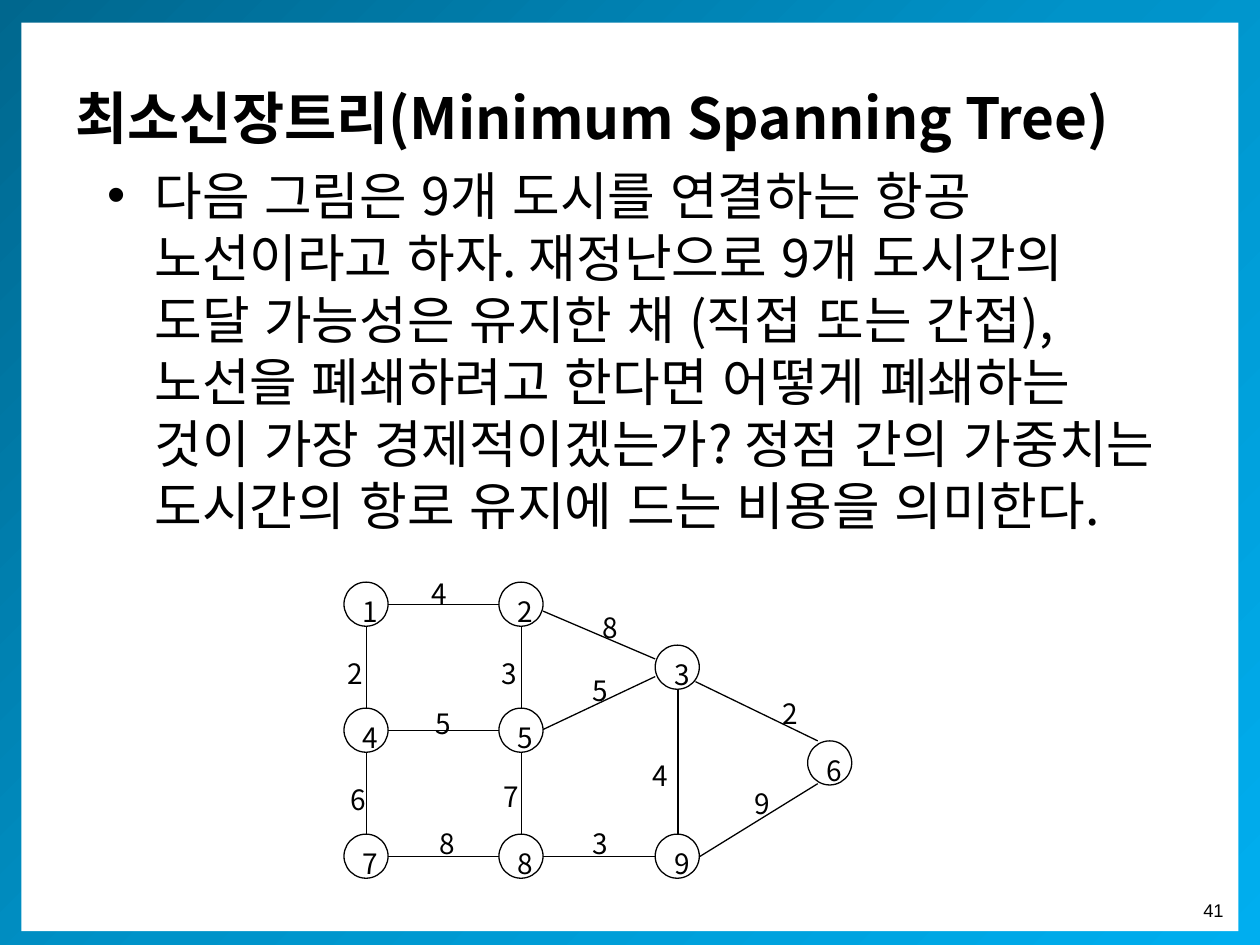
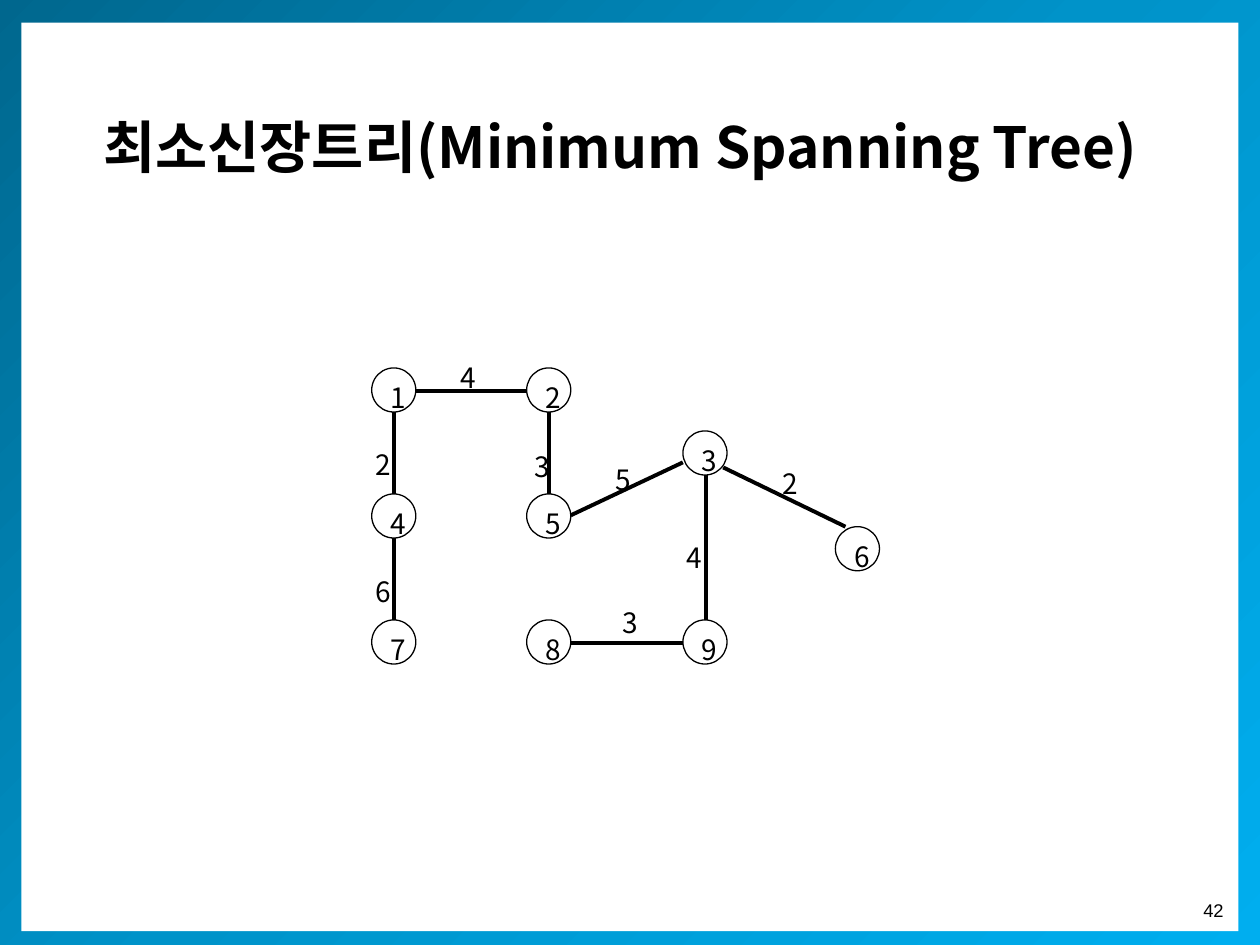
"""Build two slides on minimum spanning trees: the route network and its tree."""
from copy import deepcopy

from lxml import etree
from pptx import Presentation
from pptx.dml.color import RGBColor
from pptx.enum import shapes, text
from pptx.oxml.ns import qn
from pptx.util import Inches, Pt

BLACK = RGBColor(0x00, 0x00, 0x00)
WHITE = RGBColor(0xFF, 0xFF, 0xFF)
FRAME_BLUES = [(0, RGBColor(0x00, 0x67, 0x8E)),
               (0.5, RGBColor(0x00, 0x93, 0xC9)),
               (1, RGBColor(0x00, 0xAE, 0xEF))]
KOREAN_FONT = "Noto Sans CJK KR"
NUMBER_FONT = "Arial"

TITLE = "최소신장트리(Minimum Spanning Tree)"
QUESTION = ("다음 그림은 9개 도시를 연결하는 항공 노선이라고 하자. 재정난으로 9개 도시간의 "
            "도달 가능성은 유지한 채 (직접 또는 간접), 노선을 폐쇄하려고 한다면 어떻게 "
            "폐쇄하는 것이 가장 경제적이겠는가? 정점 간의 가중치는 도시간의 항로 유지에 "
            "드는 비용을 의미한다.")
WORD_GAP = "160"

CITIES = {1: (2.73, 4.62), 2: (3.96, 4.62), 3: (5.2, 5.12),
          4: (2.73, 5.62), 5: (3.96, 5.62), 6: (6.41, 5.88),
          7: (2.73, 6.62), 8: (3.96, 6.62), 9: (5.2, 6.62)}
COSTS = {(1, 2): 4, (1, 4): 2, (2, 5): 3, (2, 3): 8, (4, 5): 5, (5, 3): 5, (3, 6): 2,
         (3, 9): 4, (9, 6): 9, (4, 7): 6, (5, 8): 7, (7, 8): 8, (8, 9): 3}
CITY_SIZE, CITY_MIDDLE = 0.35, 0.18
COST_SIZE = (0.29, 0.32)
SLANTED_ENDS = {(2, 3): ((0.35, 0.23), (0, 0.11)),
                (5, 3): ((0.35, 0.17), (0, 0.25)),
                (3, 6): ((0.32, 0.29), (0.08, 0)),
                (9, 6): ((0.35, 0.18), (0.08, 0.34))}

SLIDES = [
    {"number": 41, "layout": 1, "title_at": (0.5, 0.3), "question": QUESTION,
     "shift": (0, 0), "route_width": 0.75,
     "cost_at": {(1, 2): (3.33, 4.53), (1, 4): (2.66, 5.16), (2, 5): (3.88, 5.16),
                 (2, 3): (4.68, 4.8), (4, 5): (3.36, 5.56), (5, 3): (4.6, 5.3),
                 (3, 6): (6.11, 5.48), (3, 9): (5.08, 5.97), (9, 6): (5.89, 6.19),
                 (4, 7): (2.68, 6.16), (5, 8): (3.9, 6.14), (7, 8): (3.39, 6.51),
                 (8, 9): (4.6, 6.51)}},
    {"number": 42, "layout": 5, "title_at": (0.72, 0.53), "question": None,
     "shift": (0.22, -1.7), "route_width": 2.25,
     "cost_at": {(1, 2): (3.56, 2.81), (1, 4): (2.88, 3.5), (2, 5): (4.14, 3.52),
                 (5, 3): (4.79, 3.62), (3, 6): (6.11, 3.65), (3, 9): (5.35, 4.24),
                 (4, 7): (2.88, 4.51), (8, 9): (4.84, 4.76)}},
]


def place(shape, left, top, width, height):
    shape.left, shape.top = Inches(left), Inches(top)
    shape.width, shape.height = Inches(width), Inches(height)


def write(shape, words, size, align, name=KOREAN_FONT, bold=False):
    paragraph = shape.text_frame.paragraphs[0]
    paragraph.text = str(words)
    paragraph.alignment = align
    paragraph.space_before = Pt(0)
    font = paragraph.font
    font.size, font.bold, font.name = Pt(size), bold, name
    font.color.rgb = BLACK
    latin = font._element.find(qn("a:latin"))
    east_asian = etree.Element(qn("a:ea"), typeface=name)
    latin.addnext(east_asian)
    return paragraph


def widen_word_gaps(paragraph):
    first, *others = paragraph.text.split(" ")
    paragraph.runs[0].text = before = first
    for word in others:
        gap = paragraph.add_run()
        gap.text = " "
        if before[-1] not in ".,?":
            gap.font._element.set("spc", WORD_GAP)
        paragraph.add_run().text = before = word


def add_plain(parent, preset, left, top, width, height):
    shape = parent.add_shape(preset, Inches(left), Inches(top), Inches(width), Inches(height))
    shape.shadow.inherit = False
    shape.fill.solid()
    shape.fill.fore_color.rgb = WHITE
    shape.line.fill.background()
    return shape


def frame_master(prs, slide):
    rectangle = shapes.MSO_SHAPE.RECTANGLE
    frame = add_plain(slide.shapes, rectangle, 0, -0.04, 10, 7.59)
    paper = add_plain(slide.shapes, rectangle, 0.17, 0.18, 9.66, 7.21)
    frame.fill.gradient()
    frame.fill.gradient_angle = 315
    first_stop = frame.fill._fill._gradFill.gsLst[0]
    first_stop.addnext(deepcopy(first_stop))
    for stop, (position, blue) in zip(frame.fill.gradient_stops, FRAME_BLUES):
        stop.position, stop.color.rgb = position, blue
    tree = prs.slide_master.shapes._spTree
    for index, band in enumerate((frame, paper)):
        band._element.nvSpPr.cNvPr.set("id", str(100 + index))
        tree.insert(2 + index, band._element)


def add_number(slide, number):
    box = slide.shapes.add_textbox(Inches(9.42), Inches(7.09), Inches(0.39), Inches(0.28))
    box.text_frame.word_wrap = False
    write(box, number, 10.5, text.PP_ALIGN.RIGHT, NUMBER_FONT)


def add_digit(parent, preset, digit, left, top, width, height):
    shape = add_plain(parent, preset, left, top, width, height)
    shape.text_frame.vertical_anchor = text.MSO_ANCHOR.TOP
    write(shape, digit, 16, text.PP_ALIGN.JUSTIFY)
    return shape


def route_ends(route):
    start, end = (CITIES[city] for city in route)
    if route in SLANTED_ENDS:
        leave, arrive = SLANTED_ENDS[route]
    elif start[1] == end[1]:
        leave, arrive = (CITY_SIZE, CITY_MIDDLE), (0, CITY_MIDDLE)
    else:
        leave, arrive = (CITY_MIDDLE, CITY_SIZE), (CITY_MIDDLE, 0)
    return start[0] + leave[0], start[1] + leave[1], end[0] + arrive[0], end[1] + arrive[1]


def add_network(slide, cost_at, shift, route_width):
    dx, dy = shift
    network = slide.shapes.add_group_shape().shapes
    for route, (left, top) in cost_at.items():
        add_digit(network, shapes.MSO_SHAPE.RECTANGLE, COSTS[route], left, top, *COST_SIZE)
    for number, (left, top) in CITIES.items():
        city = add_digit(network, shapes.MSO_SHAPE.OVAL, number, left + dx, top + dy,
                         CITY_SIZE, CITY_SIZE)
        city.line.color.rgb, city.line.width = BLACK, Pt(0.75)
    for route in cost_at:
        x1, y1, x2, y2 = route_ends(route)
        flight = network.add_connector(shapes.MSO_CONNECTOR.STRAIGHT,
                                       Inches(x1 + dx), Inches(y1 + dy),
                                       Inches(x2 + dx), Inches(y2 + dy))
        flight.line.color.rgb, flight.line.width = BLACK, Pt(route_width)
        etree.SubElement(flight._element.spPr, qn("a:effectLst"))


def add_title(slide, left, top):
    title = slide.shapes.title
    place(title, left, top, 9, 1.25)
    title.text_frame.auto_size = text.MSO_AUTO_SIZE.NONE
    title.text_frame.vertical_anchor = text.MSO_ANCHOR.MIDDLE
    write(title, TITLE, 32.4, text.PP_ALIGN.LEFT, bold=True)


def add_question(slide, words):
    question = slide.placeholders[1]
    place(question, 0.75, 1.25, 8.62, 3.12)
    question.text_frame.auto_size = text.MSO_AUTO_SIZE.NONE
    paragraph = write(question, words, 29.6, text.PP_ALIGN.LEFT)
    paragraph.line_spacing = Pt(35.4)
    widen_word_gaps(paragraph)


def main():
    prs = Presentation()
    prs.slide_width, prs.slide_height = Inches(10), Inches(7.5)
    for content in SLIDES:
        slide = prs.slides.add_slide(prs.slide_layouts[content["layout"]])
        add_title(slide, *content["title_at"])
        if content["question"]:
            add_question(slide, content["question"])
        add_network(slide, content["cost_at"], content["shift"], content["route_width"])
        add_number(slide, content["number"])
    frame_master(prs, prs.slides[0])
    prs.save("out.pptx")


if __name__ == "__main__":
    main()
